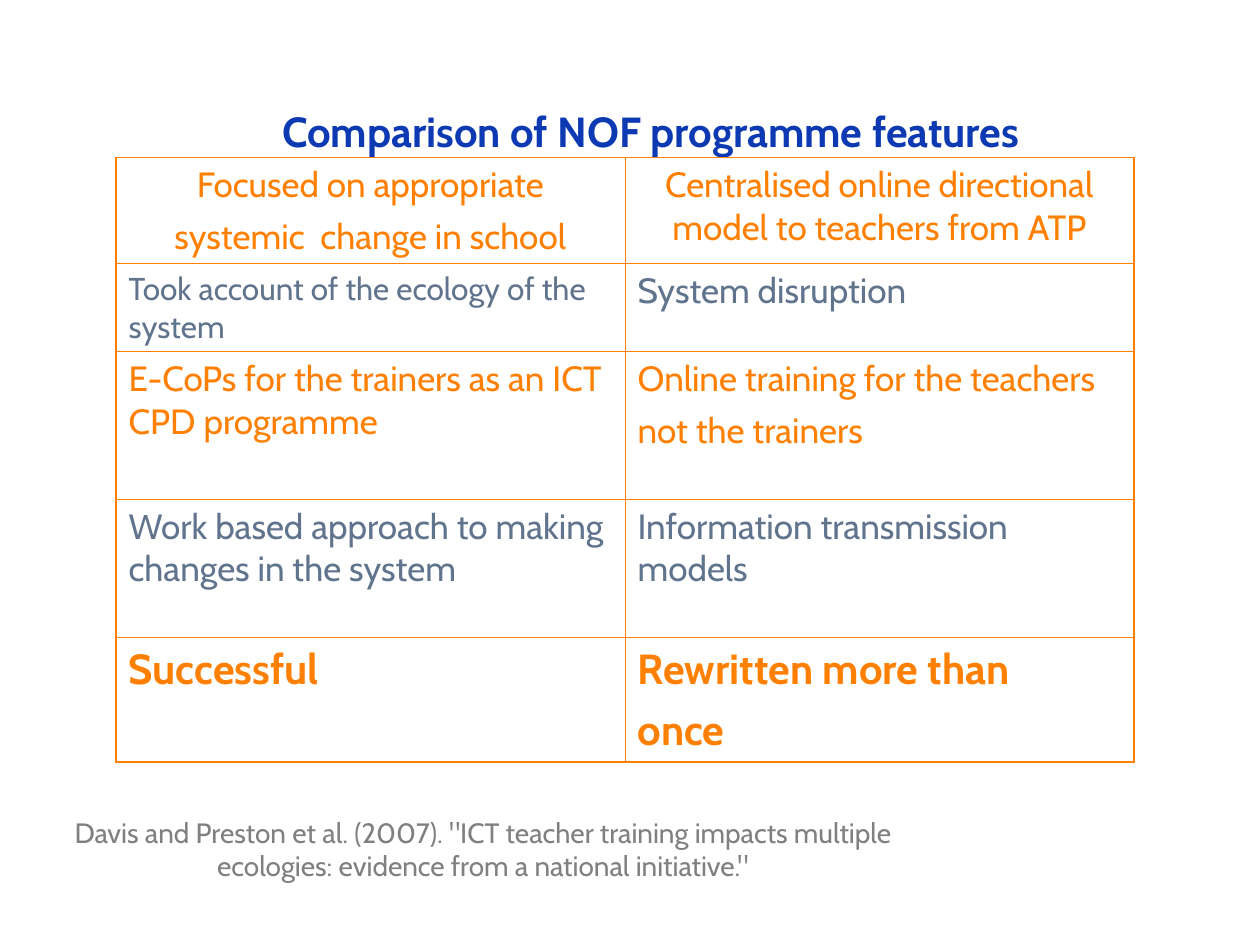
from lxml.etree import SubElement as Sub
from pptx import Presentation
from pptx.dml.color import RGBColor
from pptx.enum.text import MSO_ANCHOR as Anchor, PP_ALIGN as Align
from pptx.oxml.ns import qn
from pptx.util import Inches, Pt

FONT = "Cabin"
HUES = {"blue": "0D39B3", "orange": "FF8000", "slate": "60748D", "grey": "808080"}
TITLE = "Comparison of NOF programme features"
SOURCE = ('Davis and Preston et al. (2007). "ICT teacher training impacts '
          'multiple ecologies: evidence from a national initiative."')

# Row height, hue, bold, alignment, then (text, size) for each column
ROWS = [
    (0.84, "orange", False, Align.CENTER,
     [("Focused on appropriate\nsystemic  change in school", 20),
      ("Centralised online directional model to teachers from ATP", 20)]),
    (0.70, "slate", False, Align.LEFT,
     [("Took account of the ecology of the system", 18),
      ("System disruption", 20)]),
    (1.17, "orange", False, Align.LEFT,
     [("E-CoPs for the trainers as an ICT CPD programme", 20),
      ("Online training for the teachers\nnot the trainers", 20)]),
    (1.10, "slate", False, Align.LEFT,
     [("Work based approach to making changes in the system", 20),
      ("Information transmission models", 20)]),
    (0.99, "orange", True, Align.LEFT,
     [("Successful", 24), ("Rewritten more than\nonce", 24)]),
]
COLS, COL_W = 2, 4.04
LEFT, TOP = 0.92, 1.25
OUTER, INNER = 1.08, 0.45


def write(frame, text, size, hue, bold=False, align=Align.CENTER):
    frame.text = text
    frame.word_wrap = True
    for i, para in enumerate(frame.paragraphs):
        para.alignment = align
        if i:
            para.space_before = Pt(size / 4)
        for run in para.runs:
            font = run.font
            font.name, font.size, font.bold = FONT, Pt(size), bold
            font.color.rgb = RGBColor.from_string(HUES[hue])


def edge(cell, row, col):
    """Draw cell borders, heavier on the outside of the table."""
    outside = {"L": col == 0, "R": col == COLS - 1,
               "T": row == 0, "B": row == len(ROWS) - 1}
    props = cell._tc.get_or_add_tcPr()
    for side, outer in outside.items():
        line = Sub(props, qn(f"a:ln{side}"), w=str(Pt(OUTER if outer else INNER)))
        fill = Sub(line, qn("a:solidFill"))
        Sub(fill, qn("a:srgbClr"), val=HUES["orange"])


def place(shape, *box):
    shape.left, shape.top, shape.width, shape.height = map(Inches, box)


deck = Presentation()
deck.slide_width, deck.slide_height = Inches(10), Inches(7.5)
slide = deck.slides.add_slide(deck.slide_layouts[5])

title = slide.shapes.title
place(title, 0.75, 0.58, 8.83, 0.75)
write(title.text_frame, TITLE, 24, "blue", bold=True)
title.text_frame.vertical_anchor = Anchor.BOTTOM
title.text_frame.margin_bottom = Inches(0.09)

note = slide.shapes.add_textbox(*map(Inches, (0.25, 6.42, 7.17, 0.92)))
write(note.text_frame, SOURCE, 16, "grey")

height = sum(row[0] for row in ROWS)
grid = slide.shapes.add_table(
    len(ROWS), COLS, *map(Inches, (LEFT, TOP, COLS * COL_W, height))).table
grid.first_row = grid.horz_banding = False
for col in grid.columns:
    col.width = Inches(COL_W)
for r, (tall, hue, bold, align, texts) in enumerate(ROWS):
    grid.rows[r].height = Inches(tall)
    for c, (text, size) in enumerate(texts):
        cell = grid.cell(r, c)
        write(cell.text_frame, text, size, hue, bold, align)
        edge(cell, r, c)
        cell.fill.background()

deck.save("out.pptx")
